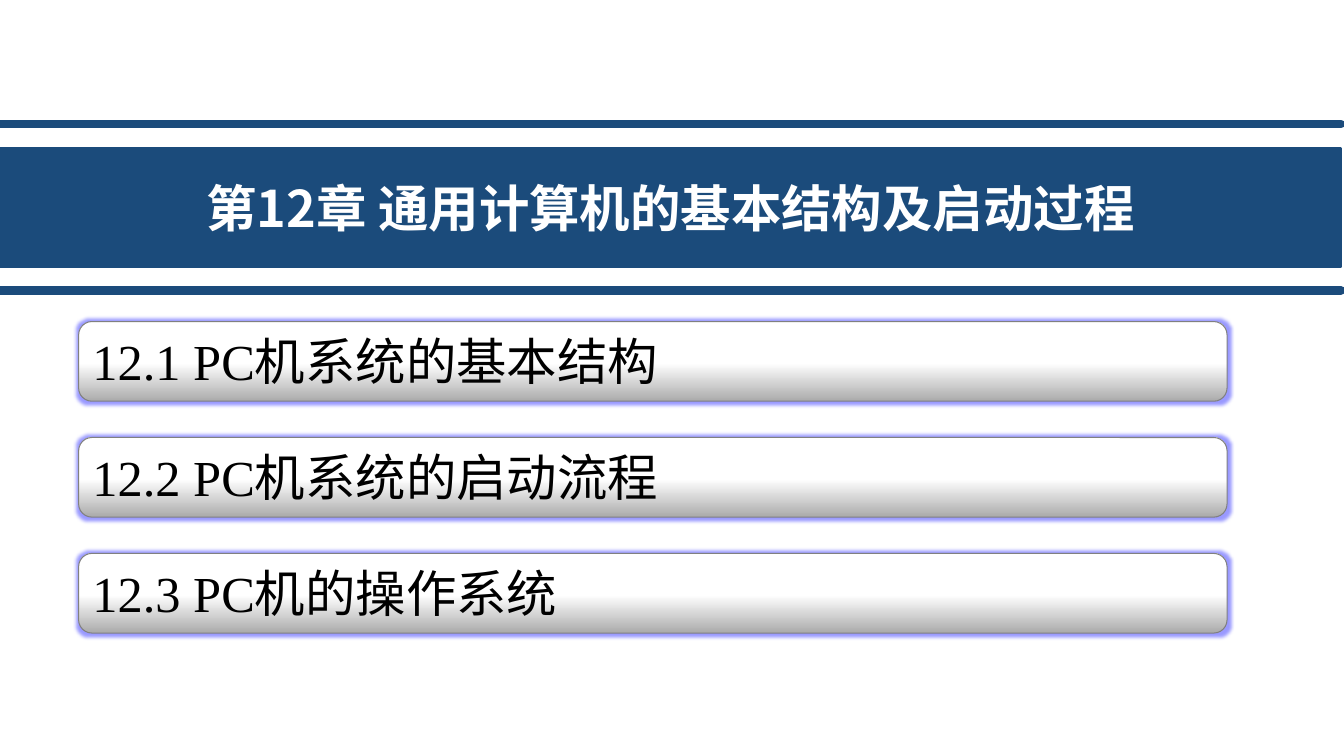
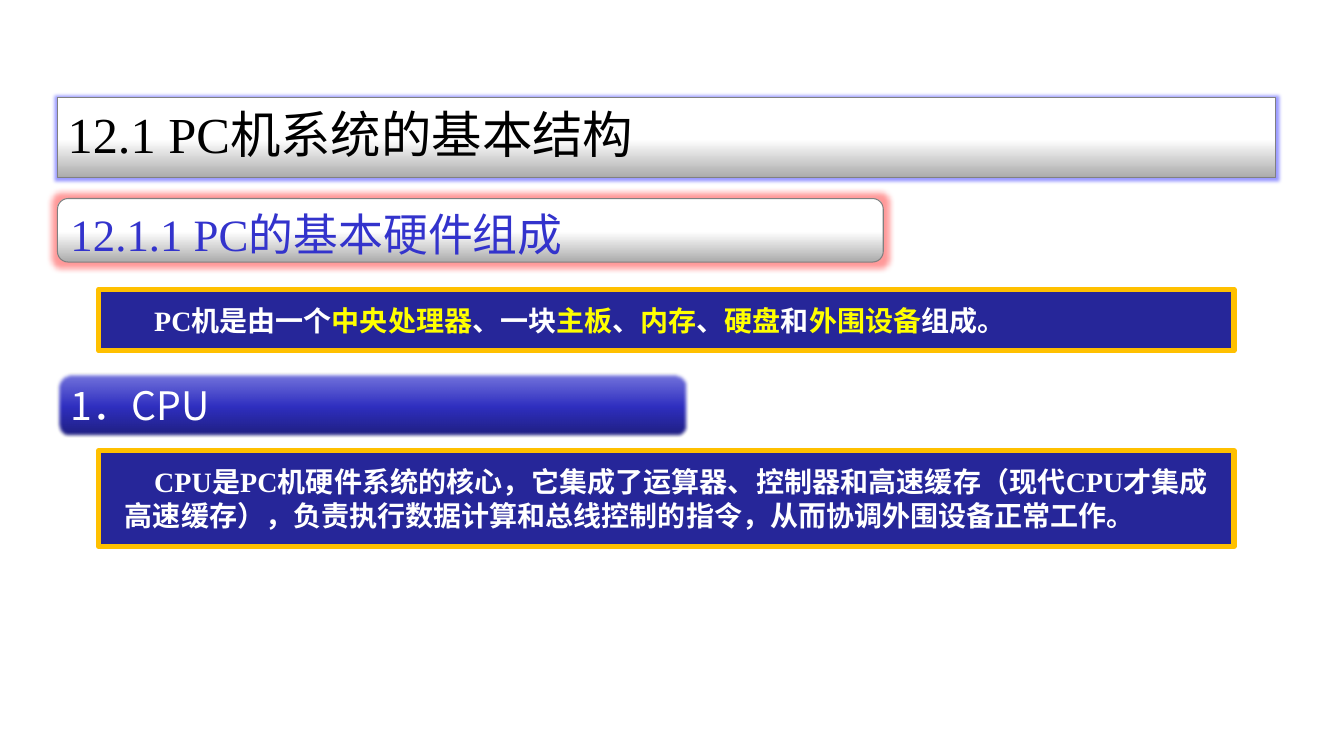
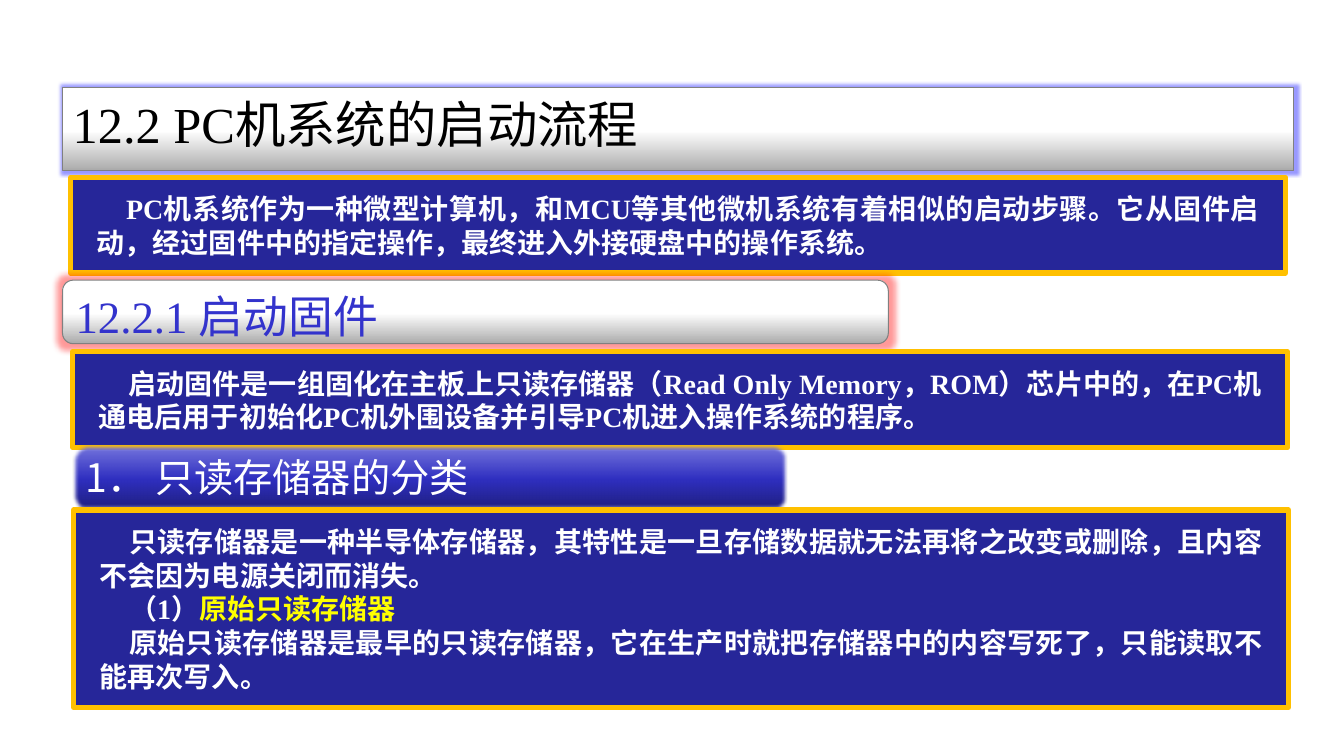
from dataclasses import dataclass

from lxml.etree import SubElement
from pptx import Presentation
from pptx.dml.color import RGBColor
from pptx.enum.shapes import MSO_CONNECTOR, MSO_SHAPE
from pptx.enum.text import MSO_ANCHOR, MSO_AUTO_SIZE, PP_ALIGN
from pptx.oxml.ns import qn
from pptx.util import Pt

PX = 9144
SLIDE_W, SLIDE_H = 1333, 750


@dataclass(frozen=True)
class Theme:
    banner: str = "1B4B7B"
    white: str = "FFFFFF"
    black: str = "000000"
    outline: str = "808080"
    topic: str = "3333CC"
    box: str = "262699"
    frame: str = "FFC000"
    accent: str = "FFFF00"
    section_glow: str = "0000FF"
    topic_glow: str = "FF0000"
    silver: tuple = ((0, "ABABAB"), (48, "FFFFFF"), (100, "FFFFFF"))
    blue: tuple = ((0, "1E1E7C"), (48, "2F2FC0"), (100, "7878DE"))
    serif: str = "Times New Roman"
    sans: str = "Noto Sans CJK SC"
    section_size: int = 36
    topic_size: int = 32
    item_size: int = 28
    text_size: int = 20


THEME = Theme()


def rgb(code):
    return RGBColor.from_string(code)


def write(frame, *paragraphs, size, color, font=THEME.serif, bold=False,
          align=PP_ALIGN.LEFT, anchor=MSO_ANCHOR.TOP, wrap=True, indent=0,
          insets=(10, 5), fit=MSO_AUTO_SIZE.NONE):
    frame.word_wrap = wrap
    frame.auto_size = fit
    frame.vertical_anchor = anchor
    frame.margin_left = frame.margin_right = insets[0] * PX
    frame.margin_top = frame.margin_bottom = insets[1] * PX
    for number, text in enumerate(paragraphs):
        paragraph = frame.add_paragraph() if number else frame.paragraphs[0]
        paragraph.alignment = align
        if indent:
            properties = paragraph._p.get_or_add_pPr()
            properties.set("marL", "0")
            properties.set("indent", str(indent * PX))
        for position, part in enumerate(text.split("|")):
            if not part:
                continue
            run = paragraph.add_run()
            run.text = part
            run.font.size = Pt(size)
            run.font.bold = bold
            run.font.name = font
            run.font.color.rgb = rgb(THEME.accent if position % 2 else color)
            east_asian = SubElement(run._r.rPr, qn("a:ea"))
            east_asian.set("typeface", THEME.sans)


def place(slide, box, preset, outline, width, as_title=False):
    left, top, w, h = (length * PX for length in box)
    if as_title:
        shape = slide.shapes.title
        shape.left, shape.top, shape.width, shape.height = left, top, w, h
        geometry = SubElement(shape.element.spPr, qn("a:prstGeom"))
        geometry.set("prst", "rect" if preset == MSO_SHAPE.RECTANGLE else "roundRect")
        SubElement(geometry, qn("a:avLst"))
    else:
        shape = slide.shapes.add_shape(preset, left, top, w, h)
    shape.line.color.rgb = rgb(outline)
    shape.line.width = Pt(width)
    shape.shadow.inherit = False
    return shape


def fill_gradient(shape, stops):
    shape.fill.gradient()
    shape.fill.gradient_angle = 90
    stop_list = shape.element.spPr.find(".//" + qn("a:gsLst"))
    for old_stop in list(stop_list):
        stop_list.remove(old_stop)
    for percent, color in stops:
        stop = SubElement(stop_list, qn("a:gs"))
        stop.set("pos", str(percent * 1000))
        SubElement(stop, qn("a:srgbClr")).set("val", color)


def add_effect(shape, tag, radius, color=None):
    effect = SubElement(shape.element.spPr.find(qn("a:effectLst")), qn(tag))
    effect.set("rad", str(Pt(radius)))
    if color:
        tint = SubElement(effect, qn("a:srgbClr"))
        tint.set("val", color)
        SubElement(tint, qn("a:alpha")).set("val", "40000")


def pill(slide, box, stops, as_title=False):
    shape = place(slide, box, MSO_SHAPE.ROUNDED_RECTANGLE, THEME.outline, 0.75, as_title)
    fill_gradient(shape, stops)
    return shape


def section_heading(slide, box, text, as_title=False):
    heading = pill(slide, box, THEME.silver, as_title)
    add_effect(heading, "a:glow", 5, THEME.section_glow)
    write(heading.text_frame, text, size=THEME.section_size, color=THEME.black, wrap=False)


def topic_heading(slide, box, text):
    heading = pill(slide, box, THEME.silver)
    add_effect(heading, "a:glow", 8, THEME.topic_glow)
    write(heading.text_frame, text, size=THEME.topic_size, color=THEME.topic, wrap=False)


def item_heading(slide, box, text):
    heading = pill(slide, box, THEME.blue)
    add_effect(heading, "a:softEdge", 2.5)
    write(heading.text_frame, text, size=THEME.item_size, color=THEME.white,
          font=THEME.sans, wrap=False)


def text_box(slide, box, *paragraphs):
    panel = place(slide, box, MSO_SHAPE.RECTANGLE, THEME.frame, 3.75)
    panel.fill.solid()
    panel.fill.fore_color.rgb = rgb(THEME.box)
    write(panel.text_frame, *paragraphs, size=THEME.text_size, color=THEME.white,
          bold=True, align=PP_ALIGN.JUSTIFY, anchor=MSO_ANCHOR.MIDDLE, indent=29,
          insets=(26, 14), fit=MSO_AUTO_SIZE.SHAPE_TO_FIT_TEXT)


def chapter_banner(slide, box, text):
    left, top, width, height = box
    banner = place(slide, box, MSO_SHAPE.RECTANGLE, THEME.banner, 2, as_title=True)
    banner.fill.solid()
    banner.fill.fore_color.rgb = rgb(THEME.banner)
    write(banner.text_frame, text, size=THEME.section_size, color=THEME.white,
          font=THEME.sans, bold=True, align=PP_ALIGN.CENTER, anchor=MSO_ANCHOR.MIDDLE)
    for y in (top - 24, top + height + 23):
        rule = slide.shapes.add_connector(
            MSO_CONNECTOR.STRAIGHT, left * PX, y * PX, (left + width) * PX, y * PX)
        rule.line.color.rgb = rgb(THEME.banner)
        rule.line.width = Pt(6)
        properties = rule.element.spPr
        properties.find(qn("a:ln")).set("cap", "rnd")
        SubElement(properties, qn("a:effectLst"))


def chapter_slide(slide):
    chapter_banner(slide, (0, 147, 1330, 118), "第12章 通用计算机的基本结构及启动过程")
    sections = ("12.1 PC机系统的基本结构", "12.2 PC机系统的启动流程", "12.3 PC机的操作系统")
    for row, section in enumerate(sections):
        section_heading(slide, (78, 319 + 115 * row, 1139, 79), section)


def structure_slide(slide):
    section_heading(slide, (57, 97, 1208, 79), "12.1 PC机系统的基本结构", as_title=True)
    topic_heading(slide, (57, 197, 819, 63), "12.1.1 PC的基本硬件组成")
    text_box(slide, (98, 287, 1126, 61),
             "PC机是由一个|中央处理器|、一块|主板|、|内存|、|硬盘|和|外围设备|组成。")
    item_heading(slide, (57, 370, 625, 64), "1．CPU")
    text_box(slide, (98, 447, 1126, 95),
             "CPU是PC机硬件系统的核心，它集成了运算器、控制器和高速缓存（现代CPU才集成高速缓存），"
             "负责执行数据计算和总线控制的指令，从而协调外围设备正常工作。")


def startup_slide(slide):
    section_heading(slide, (62, 87, 1221, 82), "12.2 PC机系统的启动流程", as_title=True)
    text_box(slide, (70, 176, 1205, 95),
             "PC机系统作为一种微型计算机，和MCU等其他微机系统有着相似的启动步骤。"
             "它从固件启动，经过固件中的指定操作，最终进入外接硬盘中的操作系统。")
    topic_heading(slide, (62, 278, 819, 63), "12.2.1 启动固件")
    text_box(slide, (72, 349, 1205, 95),
             "启动固件是一组固化在主板上只读存储器（Read Only Memory，ROM）芯片中的，"
             "在PC机通电后用于初始化PC机外围设备并引导PC机进入操作系统的程序。")
    item_heading(slide, (72, 442, 709, 64), "1． 只读存储器的分类")
    text_box(slide, (73, 506, 1205, 196),
             "只读存储器是一种半导体存储器，其特性是一旦存储数据就无法再将之改变或删除，"
             "且内容不会因为电源关闭而消失。",
             "（1）|原始只读存储器",
             "原始只读存储器是最早的只读存储器，它在生产时就把存储器中的内容写死了，"
             "只能读取不能再次写入。")


def main():
    deck = Presentation()
    deck.slide_width, deck.slide_height = SLIDE_W * PX, SLIDE_H * PX
    title_only = deck.slide_layouts[5]
    for build in (chapter_slide, structure_slide, startup_slide):
        build(deck.slides.add_slide(title_only))
    deck.save("out.pptx")


if __name__ == "__main__":
    main()
